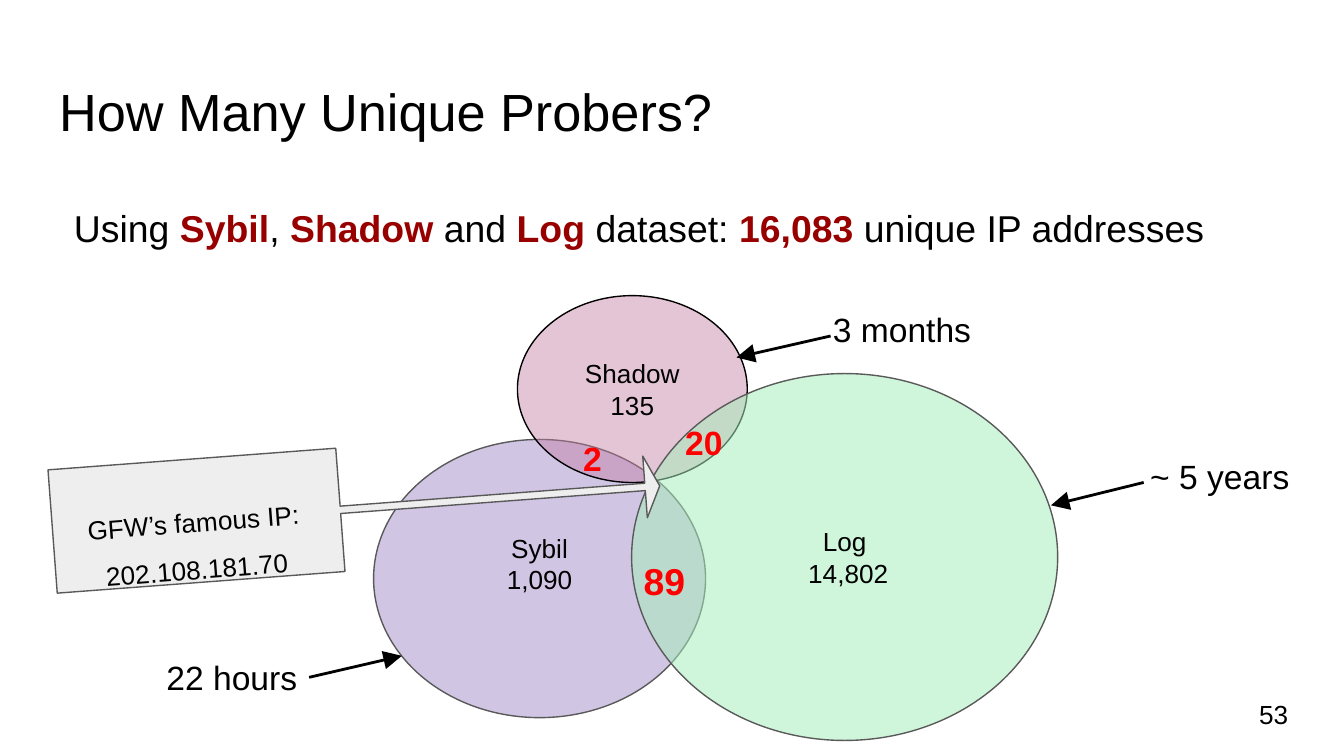
from dataclasses import dataclass

import pptx
import pptx.dml.color
import pptx.enum.shapes
import pptx.enum.text
import pptx.oxml.ns
import pptx.util
from lxml import etree

Inches = pptx.util.Inches
Align = pptx.enum.text.PP_ALIGN
Anchor = pptx.enum.text.MSO_ANCHOR
Shape = pptx.enum.shapes.MSO_SHAPE
qn = pptx.oxml.ns.qn


@dataclass(frozen=True)
class Theme:
    font: str = "Arial"
    text: str = "000000"
    accent: str = "980000"
    overlap: str = "FF0000"
    sybil: str = "987CC2"
    shadow: str = "C27BA0"
    log: str = "A5EEBA"
    callout: str = "EEEEEE"
    outline: str = "595959"
    title_size: int = 28
    lead_size: int = 20
    label_size: int = 18
    small_size: int = 14


@dataclass(frozen=True)
class Box:
    left: float
    top: float
    width: float
    height: float

    def inner(self, left, top, width, height):
        return Box(self.left + left, self.top + top, width, height)

    def lengths(self):
        return [Inches(value) for value in (self.left, self.top, self.width, self.height)]


THEME = Theme()


def rgb(color):
    return pptx.dml.color.RGBColor.from_string(color)


def add_run(paragraph, text, size, color=THEME.text, bold=False):
    run = paragraph.add_run()
    run.text = text
    run.font.name = THEME.font
    run.font.size = pptx.util.Pt(size)
    run.font.bold = bold
    run.font.color.rgb = rgb(color)


def prepare_frame(shape, anchor=Anchor.TOP):
    frame = shape.text_frame
    frame.word_wrap = True
    frame.auto_size = pptx.enum.text.MSO_AUTO_SIZE.NONE
    frame.vertical_anchor = anchor
    frame.margin_left = frame.margin_right = Inches(0.1)
    frame.margin_top = frame.margin_bottom = Inches(0.1)
    return frame


def add_centred_lines(frame, lines):
    paragraph = frame.paragraphs[0]
    paragraph.alignment = Align.CENTER
    for index, line in enumerate(lines):
        if index:
            paragraph.add_line_break()
        add_run(paragraph, line, THEME.small_size)
    return paragraph


def add_label(slide, box, text, size=THEME.label_size, color=THEME.text,
              bold=False, anchor=Anchor.TOP):
    frame = prepare_frame(slide.shapes.add_textbox(*box.lengths()), anchor)
    add_run(frame.paragraphs[0], text, size, color, bold)


def add_filled_shape(slide, kind, box, color, line=None, opacity=100, rotation=0):
    shape = slide.shapes.add_shape(kind, *box.lengths())
    shape.shadow.inherit = False
    shape.rotation = rotation
    shape.fill.solid()
    shape.fill.fore_color.rgb = rgb(color)
    if opacity < 100:
        fill_color = shape._element.spPr.find(qn("a:solidFill"))[0]
        etree.SubElement(fill_color, qn("a:alpha")).set("val", str(opacity * 1000))
    if line:
        shape.line.color.rgb = rgb(line)
        shape.line.width = pptx.util.Pt(0.75)
    else:
        shape.line.fill.background()
    return shape


def add_arrow(slide, box, start, end):
    points = [Inches(value) for x, y in (start, end) for value in (box.left + x, box.top + y)]
    arrow = slide.shapes.add_connector(pptx.enum.shapes.MSO_CONNECTOR.STRAIGHT, *points)
    arrow.line.color.rgb = rgb(THEME.text)
    arrow.line.width = pptx.util.Pt(1.5)
    head = etree.SubElement(arrow.line._get_or_add_ln(), qn("a:tailEnd"))
    for name, value in (("type", "triangle"), ("w", "lg"), ("len", "lg")):
        head.set(name, value)
    etree.SubElement(arrow._element.spPr, qn("a:effectLst"))


def place(placeholder, box):
    (placeholder.left, placeholder.top,
     placeholder.width, placeholder.height) = box.lengths()
    return prepare_frame(placeholder).paragraphs[0]


def fill_title(slide, box):
    paragraph = place(slide.shapes.title, box)
    paragraph.alignment = Align.LEFT
    add_run(paragraph, "How Many Unique Probers?", THEME.title_size)


def fill_lead(slide, box):
    paragraph = place(slide.placeholders[1], box)
    properties = paragraph._p.get_or_add_pPr()
    properties.set("marL", str(Inches(0.5)))
    properties.set("indent", str(Inches(-0.39)))
    etree.SubElement(properties, qn("a:buNone"))
    paragraph.line_spacing = 1.5
    paragraph.space_before = pptx.util.Pt(0)
    paragraph.space_after = pptx.util.Pt(16)
    # Plain and highlighted words alternate
    words = ["Using ", "Sybil", ", ", "Shadow", " and ", "Log ",
             "dataset: ", "16,083 ", "unique IP addresses"]
    for index, text in enumerate(words):
        strong = index % 2 == 1
        add_run(paragraph, text, THEME.lead_size,
                THEME.accent if strong else THEME.text, strong)


def add_venn(slide, box):
    # Data sets: place, fill, outline, opacity, bottom margin, lines
    datasets = [
        ((0, 1.07, 2.47, 2.07), THEME.sybil, THEME.outline, 44, 0.32, ["Sybil", "1,090"]),
        ((1.07, 0, 1.71, 1.39), THEME.shadow, THEME.text, 44, 0.1, ["Shadow", "135"]),
        ((1.92, 0.58, 3.17, 2.73), THEME.log, THEME.outline, 53, 0.1, ["Log", " 14,802"]),
    ]
    for area, color, line, opacity, margin, lines in datasets:
        ellipse = add_filled_shape(slide, Shape.OVAL, box.inner(*area), color, line, opacity)
        frame = prepare_frame(ellipse, Anchor.MIDDLE)
        frame.margin_bottom = Inches(margin)
        add_centred_lines(frame, lines)

    # Sizes of the overlaps
    for area, text, size in [
        ((1.46, 0.96, 0.37, 0.26), "2", THEME.label_size),
        ((1.91, 1.85, 0.66, 0.36), "89", THEME.lead_size),
        ((2.22, 0.84, 0.57, 0.33), "20", THEME.label_size),
    ]:
        add_label(slide, box.inner(*area), text, size, THEME.overlap, True)

    # Durations, each with an arrow to its data set
    for area, text, start, end in [
        ((-1.64, 2.59, 1.26, 0.43), "22 hours", (-0.48, 2.84), (0.21, 2.68)),
        ((3.25, 0, 1.63, 0.51), " 3 months", (3.4, 0.3), (2.7, 0.46)),
        ((5.68, 1.09, 1.41, 0.51), "~ 5 years", (5.73, 1.39), (5.04, 1.56)),
    ]:
        add_label(slide, box.inner(*area), text)
        add_arrow(slide, box, start, end)


def add_callout(slide, box):
    # Arrow callout turned to point right
    arrow = add_filled_shape(slide, Shape.UP_ARROW_CALLOUT, box.inner(1.75, 0, 0.92, 4.53),
                             THEME.callout, THEME.outline, rotation=85.7)
    for index, value in enumerate((0.06, 0.25, 0.119, 0.474)):
        arrow.adjustments[index] = value
    # Text panel over the body of the callout
    panel = add_filled_shape(slide, Shape.RECTANGLE, box.inner(0, 2.03, 2, 0.71),
                             THEME.callout, rotation=355.5)
    paragraph = add_centred_lines(prepare_frame(panel),
                                  ["GFW’s famous IP:", "202.108.181.70"])
    paragraph.line_spacing = 1.5
    paragraph.space_after = pptx.util.Pt(16)


def main():
    presentation = pptx.Presentation()
    # Widescreen, 16 to 9
    presentation.slide_width = Inches(10)
    presentation.slide_height = presentation.slide_width * 9 // 16
    slide = presentation.slides.add_slide(presentation.slide_layouts[1])
    fill_title(slide, Box(0.34, 0.49, 9.32, 0.63))
    fill_lead(slide, Box(0.34, 1.26, 9.32, 3.74))
    add_venn(slide, Box(2.78, 2.2, 5.09, 3.31))
    add_callout(slide, Box(0.44, 1.52, 4.48, 4.53))
    add_label(slide, Box(9.27, 5.1, 0.6, 0.43), "53", THEME.small_size, anchor=Anchor.MIDDLE)
    presentation.save("out.pptx")


if __name__ == "__main__":
    main()
